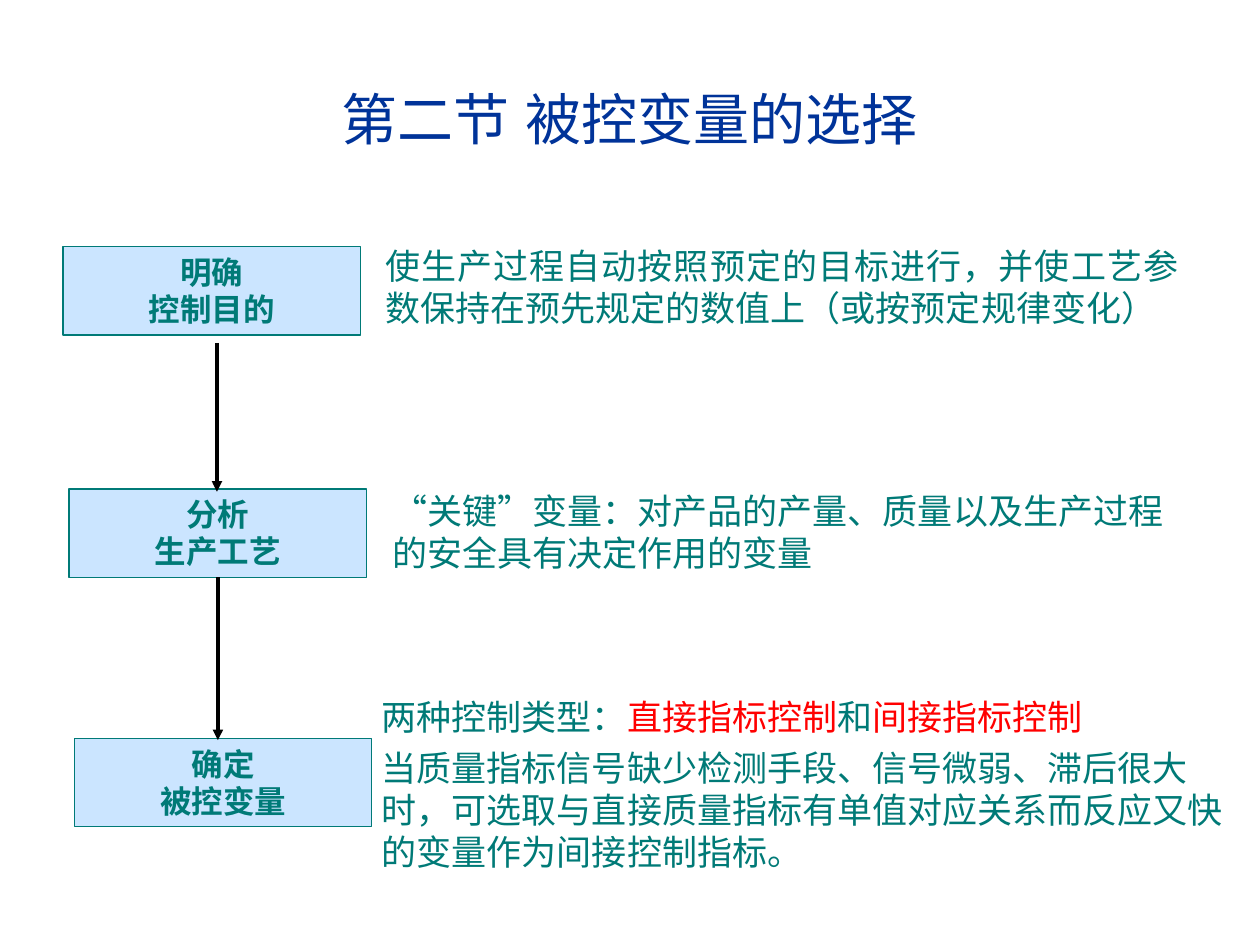
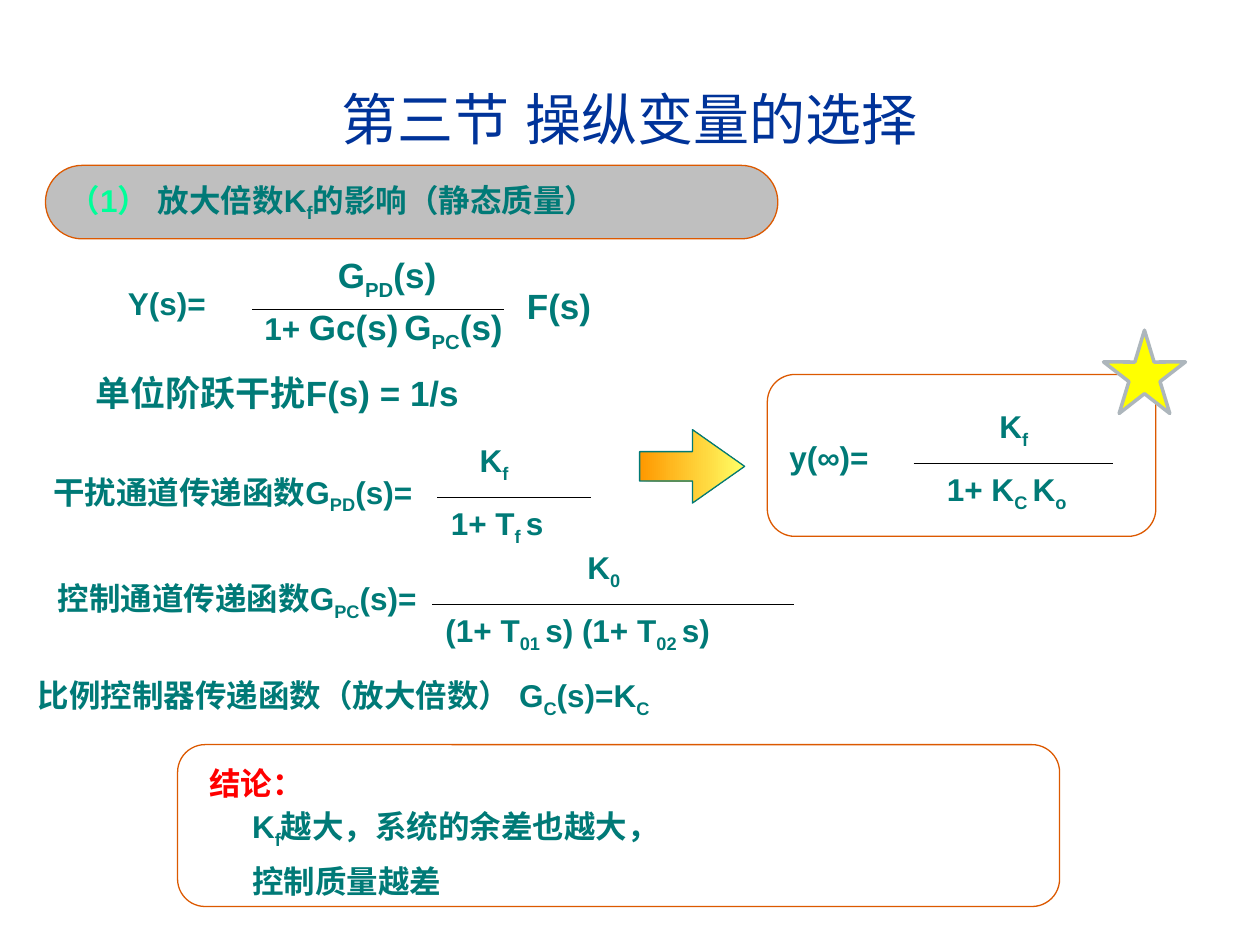
from math import cos, pi, sin

from pptx import Presentation
from pptx.dml.color import RGBColor
from pptx.enum.shapes import MSO_CONNECTOR, MSO_SHAPE
from pptx.enum.text import MSO_ANCHOR, PP_ALIGN
from pptx.oxml.ns import qn
from pptx.util import Pt
from lxml.etree import SubElement

LEFT, MID, JUST = PP_ALIGN.LEFT, PP_ALIGN.CENTER, PP_ALIGN.JUSTIFY
TOP, HALF = MSO_ANCHOR.TOP, MSO_ANCHOR.MIDDLE
RECT, ROUND = MSO_SHAPE.RECTANGLE, MSO_SHAPE.ROUNDED_RECTANGLE
ARROW, STRAIGHT = MSO_SHAPE.RIGHT_ARROW, MSO_CONNECTOR.STRAIGHT


class Theme:
    navy = RGBColor.from_string("003399")
    teal = RGBColor.from_string("007A77")
    sky = RGBColor.from_string("99CCFF")
    red = RGBColor.from_string("FF0000")
    mint = RGBColor.from_string("00FF99")
    grey = RGBColor.from_string("BFBFBF")
    rust = RGBColor.from_string("DC5900")
    gold = RGBColor.from_string("FF9900")
    lemon = RGBColor.from_string("FFFF66")
    sun = RGBColor.from_string("FFFF00")
    steel = RGBColor.from_string("ADB6BC")
    black = RGBColor.from_string("000000")
    latin, han = "Arial", "Noto Sans CJK SC"
    head, large, base = 32, 20, 18
    thin, thick = 0.75, 2


def write(shape, *paras, size=Theme.base, font=Theme.latin, color=Theme.teal,
          bold=True, align=LEFT, anchor=TOP, wrap=True, gap=0, lead=None,
          indent=0):
    """Fill a shape; a paragraph is text or (text, colour) parts, ~x~ is a subscript."""
    frame = shape.text_frame
    frame.word_wrap = wrap
    frame.vertical_anchor = anchor
    for n, parts in enumerate(paras):
        para = frame.paragraphs[0] if n == 0 else frame.add_paragraph()
        para.alignment = align
        para._p.get_or_add_pPr().set("hangingPunct", "0")
        if lead:
            para.line_spacing = Pt(lead)
        if n:
            para.space_before = Pt(gap)
            if indent:
                para._p.get_or_add_pPr().set("marL", str(Pt(indent)))
        if isinstance(parts, str):
            parts = [(parts, color)]
        for text, tint in parts:
            for k, piece in enumerate(text.split("~")):
                if not piece:
                    continue
                run = para.add_run()
                run.text = piece
                run.font.size, run.font.bold = Pt(size), bold
                run.font.name, run.font.color.rgb = font, tint
                props = run._r.get_or_add_rPr()
                SubElement(props, qn("a:ea")).set("typeface", font)
                if k % 2:
                    props.set("baseline", "-25000")


def rule(slide, x1, y1, x2, y2, width=Theme.thin, tip=False):
    """Draw a black line, with an arrowhead at its end if wanted."""
    line = slide.shapes.add_connector(STRAIGHT, Pt(x1), Pt(y1), Pt(x2), Pt(y2))
    line.line.color.rgb = Theme.black
    line.line.width = Pt(width)
    if tip:
        SubElement(line.line._get_or_add_ln(), qn("a:tailEnd")).set("type", "triangle")
    SubElement(line._element.spPr, qn("a:effectLst"))


deck = Presentation()
deck.slide_width, deck.slide_height = Pt(720), Pt(540)

# Shared title place and style
plan = deck.slide_layouts[5]
spot = plan.placeholders[0]
spot.left, spot.top, spot.width, spot.height = Pt(24), Pt(22.5), Pt(672), Pt(90)
pages = []
for name in ("第二节 被控变量的选择", "第三节 操纵变量的选择"):
    page = deck.slides.add_slide(plan)
    write(page.shapes.title, name, size=Theme.head, color=Theme.navy,
          bold=False, align=MID, anchor=HALF)
    pages.append(page)
flow, math = pages

# Flow steps
steps = [
    (36, 141, ("明确", "控制目的")),
    (39.5, 279.5, ("分析", "生产工艺")),
    (42.5, 422, ("确定", "被控变量")),
]
for x, y, words in steps:
    box = flow.shapes.add_shape(RECT, Pt(x), Pt(y), Pt(170), Pt(50.5))
    box.shadow.inherit = False
    box.fill.solid()
    box.fill.fore_color.rgb = Theme.sky
    tone = box.fill._xPr.find(qn("a:solidFill"))[0]
    SubElement(tone, qn("a:alpha")).set("val", "50000")
    box.line.color.rgb = Theme.teal
    box.line.width = Pt(Theme.thin)
    write(box, *words, font=Theme.han, align=MID, anchor=HALF, lead=21)

# Step notes
notes = [
    (213, 136, 467.5, JUST,
     ["使生产过程自动按照预定的目标进行，并使工艺参数保持在预先规定的数值上（或按预定规律变化）"]),
    (217, 276, 458, LEFT,
     ["“关键”变量：对产品的产量、质量以及生产过程的安全具有决定作用的变量"]),
    (211, 394, 497.5, LEFT,
     [[("两种控制类型：", Theme.teal), ("直接指标控制", Theme.red),
       ("和", Theme.teal), ("间接指标控制", Theme.red)],
      "当质量指标信号缺少检测手段、信号微弱、滞后很大时，可选取与直接质量指标有单值对应关系而反应又快的变量作为间接控制指标。"]),
]
for x, y, w, align, paras in notes:
    box = flow.shapes.add_textbox(Pt(x), Pt(y), Pt(w), Pt(55.5 if len(paras) == 1 else 110))
    write(box, *paras, size=Theme.large, font=Theme.han, bold=False,
          align=align, gap=5, lead=24)

# Arrows between steps
for x, y1, y2 in ((124, 196, 281), (124.5, 330, 423)):
    rule(flow, x, y1, x, y2, Theme.thick, tip=True)

# Rounded frames: topic, conclusion, result
frames = [
    (26, 94.5, 418.5, 42, 0.5),
    (101.5, 425.5, 504, 92.5, 0.17),
    (438.5, 214, 222, 92.5, 0.17),
]
panes = []
for x, y, w, h, curve in frames:
    pane = math.shapes.add_shape(ROUND, Pt(x), Pt(y), Pt(w), Pt(h))
    pane.adjustments[0] = curve
    pane.shadow.inherit = False
    pane.fill.background()
    pane.line.color.rgb = Theme.rust
    pane.line.width = Pt(Theme.thin)
    panes.append(pane)
topic = panes[0]
topic.fill.solid()
topic.fill.fore_color.rgb = Theme.grey
write(topic, [("（1） ", Theme.mint), ("放大倍数K~f~的影响（静态质量）", Theme.teal)],
      anchor=HALF, wrap=False)

# Formula parts
terms = [
    (66, 159, 102, "Y(s)=", Theme.base),
    (186, 141.5, 72, "G~PD~(s)", Theme.large),
    (294, 159, 60, "F(s)", Theme.large),
    (47.5, 208.5, 250, "单位阶跃干扰F(s) = 1/s", Theme.large),
    (23.5, 266.5, 232, "干扰通道传递函数G~PD~(s)=", Theme.base),
    (267, 248.5, 54, "K~f~", Theme.base),
    (250.5, 284.5, 84, "1+ T~f ~s", Theme.base),
    (26, 327.5, 252, "控制通道传递函数G~PC~(s)=", Theme.base),
    (328.5, 309.5, 54, "K~0~", Theme.base),
    (247.5, 345.5, 202.5, "(1+ T~01 ~s) (1+ T~02 ~s)", Theme.base),
    (14.5, 383, 400, "比例控制器传递函数（放大倍数） G~C~(s)=K~C~", Theme.base),
    (444, 247, 102, "y(∞)=", Theme.base),
    (564, 229, 54, "K~f~", Theme.base),
    (534, 265, 114, "1+ K~C ~K~o~", Theme.base),
]
for x, y, w, text, size in terms:
    box = math.shapes.add_textbox(Pt(x), Pt(y), Pt(w), Pt(32))
    write(box, text, size=size)

# Loop gain below the first bar, its leading term in the smaller size
box = math.shapes.add_textbox(Pt(144), Pt(171), Pt(160), Pt(34.5))
write(box, [("1+ ", Theme.teal), ("Gc(s)~ ~G~PC~(s)", Theme.teal)], size=Theme.large)
box.text_frame.paragraphs[0].runs[0].font.size = Pt(Theme.base)

# Fraction bars
for x1, x2, y in ((144, 288, 177), (250, 337.5, 284.5),
                  (247, 453.5, 345.5), (522, 636, 265)):
    rule(math, x1, y, x2, y)

# Conclusion
box = math.shapes.add_textbox(Pt(112.5), Pt(431.5), Pt(468), Pt(91.5))
write(box, [("结论：", Theme.red)], "K~f~越大，系统的余差也越大，", "控制质量越差",
      font=Theme.han, align=JUST, gap=5, lead=23, indent=24.5)
for run in box.text_frame.paragraphs[1].runs[:2]:
    run.font.name = Theme.latin

# Arrow to the result
arrow = math.shapes.add_shape(ARROW, Pt(365.5), Pt(245.5), Pt(60), Pt(42))
arrow.adjustments[0], arrow.adjustments[1] = 0.4, 0.71
arrow.shadow.inherit = False
arrow.fill.gradient()
arrow.fill.gradient_angle = 0
for stop, tint in zip(arrow.fill.gradient_stops, (Theme.gold, Theme.lemon)):
    stop.color.rgb = tint
arrow.line.color.rgb = Theme.teal
arrow.line.width = Pt(Theme.thin)

# Star: ten corners, every second one drawn in
dots = []
for n in range(10):
    reach = 0.38 if n % 2 else 1
    turn = n * pi / 5
    dots.append((Pt(654 + 24.6 * reach * sin(turn)), Pt(215 - 26.3 * reach * cos(turn))))
path = math.shapes.build_freeform(*dots[0])
path.add_line_segments(dots[1:], close=True)
star = path.convert_to_shape()
star.shadow.inherit = False
star.fill.solid()
star.fill.fore_color.rgb = Theme.sun
star.line.color.rgb = Theme.steel
star.line.width = Pt(Theme.thick)

deck.save("out.pptx")
